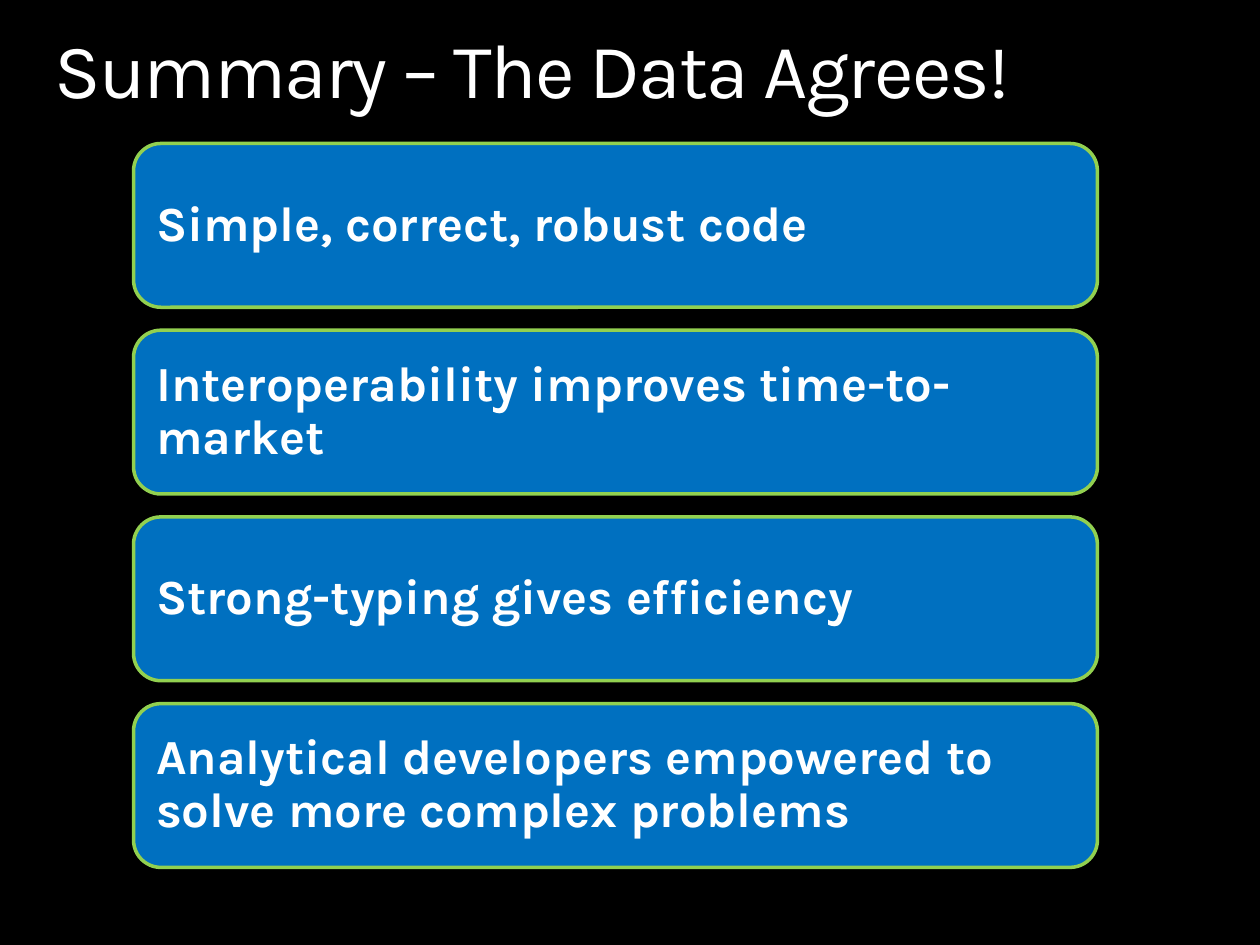
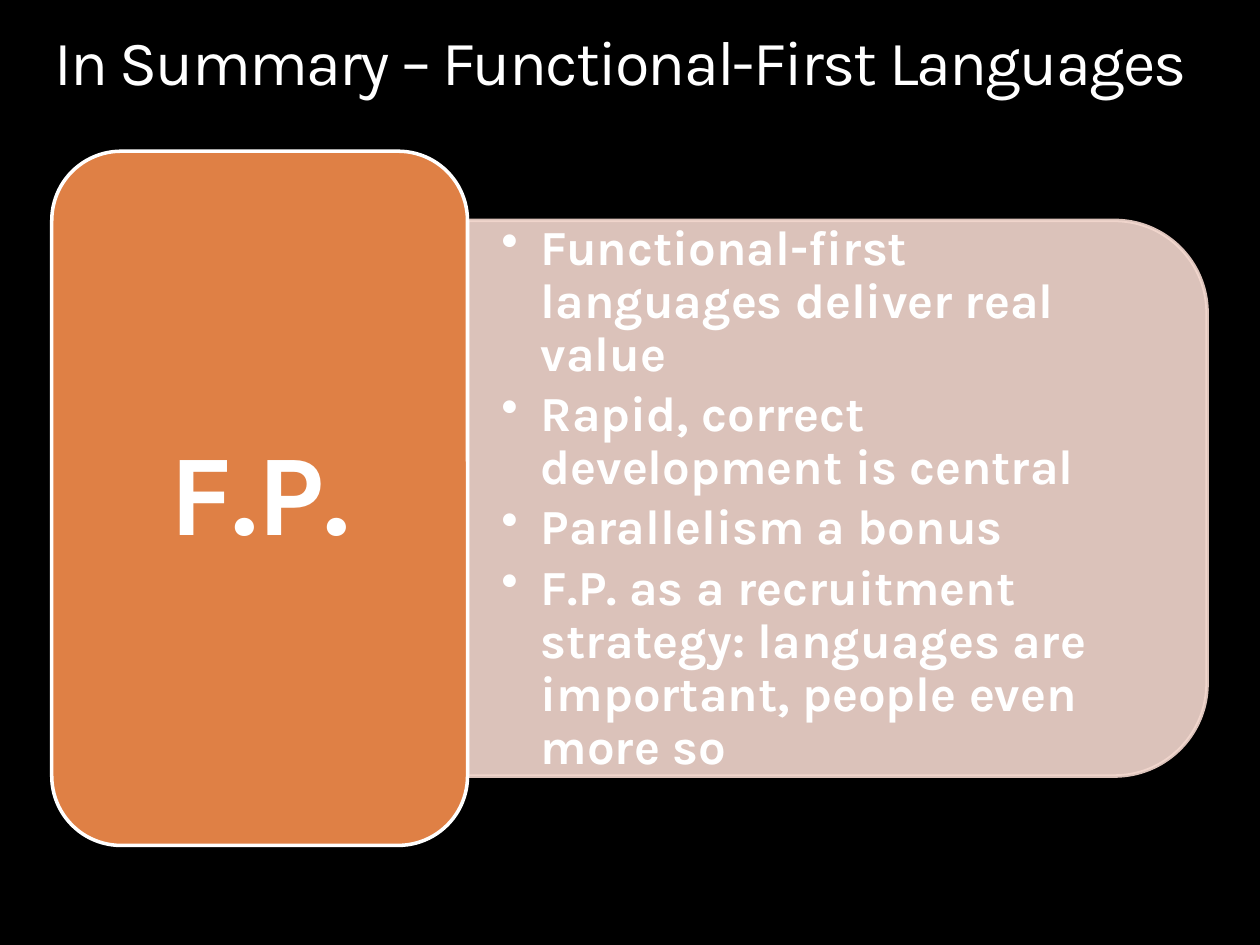
from dataclasses import dataclass

from lxml import etree
from pptx import Presentation
from pptx.dml.color import RGBColor
from pptx.enum.shapes import MSO_SHAPE as Preset
from pptx.enum.text import MSO_ANCHOR as Anchor, PP_ALIGN as Align
from pptx.oxml.ns import qn
from pptx.util import Pt

# Shared look
FONT = "Karla"
BLACK = RGBColor(0x00, 0x00, 0x00)
WHITE = RGBColor(0xFF, 0xFF, 0xFF)
BLUE = RGBColor(0x00, 0x70, 0xC0)
GREEN = RGBColor(0x92, 0xD0, 0x50)
ORANGE = RGBColor(0xDF, 0x80, 0x45)
PINK = RGBColor(0xF3, 0xD8, 0xCF)
LINE_WIDTH = 2
BODY_SIZE = 28
BULLET_INDENT = 22.5

# Slide content
TAKEAWAYS = [
    "Simple, correct, robust code",
    "Interoperability improves time-to-market",
    "Strong-typing gives efficiency",
    "Analytical developers empowered to solve more complex problems",
]
BENEFITS = [
    "Functional-first languages deliver real value",
    "Rapid, correct development is central",
    "Parallelism a bonus",
    "F.P. as a recruitment strategy: languages are important, people even more so",
]


@dataclass(frozen=True)
class Area:
    """A rectangle in points."""
    left: float
    top: float
    width: float
    height: float

    def lengths(self) -> tuple:
        return Pt(self.left), Pt(self.top), Pt(self.width), Pt(self.height)


CARD = Area(76.3, 82, 550.8, 93.6)
CARD_PITCH = 106.7
BADGE = Area(29.6, 86.4, 237.6, 396.7)
PANEL = Area(319.7, 73.4, 317.5, 422.6)
PANEL_TEXT = Area(267.1, 141.8, 406.8, 286.6)


def write(shape, lines: list[str], *, size: float, bold: bool = True,
          align=Align.LEFT, anchor=Anchor.MIDDLE, inset_x: float = 0,
          inset_y: float = 0, after: float = 0, tracking: float = 0,
          bullets: bool = False) -> None:
    """Fill a shape or text box with white text, one paragraph per line."""
    frame = shape.text_frame
    frame.word_wrap = True
    frame.vertical_anchor = anchor
    frame.margin_left = frame.margin_right = Pt(inset_x)
    frame.margin_top = frame.margin_bottom = Pt(inset_y)
    for number, line in enumerate(lines):
        para = frame.add_paragraph() if number else frame.paragraphs[0]
        para.alignment = align
        para.line_spacing = 0.9
        para.space_after = Pt(after)
        if bullets:
            properties = para._p.get_or_add_pPr()
            properties.set("marL", str(Pt(BULLET_INDENT)))
            properties.set("indent", str(-Pt(BULLET_INDENT)))
            etree.SubElement(properties, qn("a:buChar"), char="•")
        span = para.add_run()
        span.text = line
        span.font.name = FONT
        span.font.size = Pt(size)
        span.font.bold = bold
        span.font.color.rgb = WHITE
        if tracking:
            span._r.get_or_add_rPr().set("spc", str(round(tracking * 100)))


def add_block(page, preset, area: Area, fill: RGBColor, line: RGBColor,
              opacity: int = 100):
    """Add a flat outlined shape, see-through if opacity is below 100."""
    block = page.shapes.add_shape(preset, *area.lengths())
    block.shadow.inherit = False
    block.fill.solid()
    block.fill.fore_color.rgb = fill
    block.line.color.rgb = line
    block.line.width = Pt(LINE_WIDTH)
    if opacity < 100:
        for colour in block._element.spPr.iter(qn("a:srgbClr")):
            etree.SubElement(colour, qn("a:alpha"), val=str(opacity * 1000))
    return block


def add_page(deck, title: str, title_size: float):
    """Add a black page with its title."""
    page = deck.slides.add_slide(deck.slide_layouts[6])
    page.background.fill.solid()
    page.background.fill.fore_color.rgb = BLACK
    area = Area(31, 18, 658.8, title_size * 1.1)
    box = page.shapes.add_textbox(*area.lengths())
    write(box, [title], size=title_size, bold=False, anchor=Anchor.TOP,
          tracking=-1)
    return page


def build_takeaways(deck) -> None:
    page = add_page(deck, "Summary – The Data Agrees!", 44)
    for row, takeaway in enumerate(TAKEAWAYS):
        area = Area(CARD.left, CARD.top + row * CARD_PITCH,
                    CARD.width, CARD.height)
        card = add_block(page, Preset.ROUNDED_RECTANGLE, area, BLUE, GREEN)
        write(card, [takeaway], size=BODY_SIZE, inset_x=8.4, inset_y=8.4)


def build_benefits(deck) -> None:
    page = add_page(deck, "In Summary – Functional-First Languages", 36)
    # Panel turned so its rounded corners face right
    panel = add_block(page, Preset.ROUND_2_SAME_RECTANGLE, PANEL, PINK, PINK,
                      opacity=90)
    panel.rotation = 90
    box = page.shapes.add_textbox(*PANEL_TEXT.lengths())
    write(box, BENEFITS, size=BODY_SIZE, inset_x=19.4, inset_y=10,
          after=4.2, bullets=True)
    # Badge in front of the panel
    badge = add_block(page, Preset.ROUNDED_RECTANGLE, BADGE, ORANGE, WHITE)
    write(badge, ["F.P."], size=66, align=Align.CENTER, inset_x=20,
          inset_y=10)


def main() -> None:
    deck = Presentation()
    deck.slide_width, deck.slide_height = Pt(720), Pt(540)
    build_takeaways(deck)
    build_benefits(deck)
    deck.save("out.pptx")


if __name__ == "__main__":
    main()
